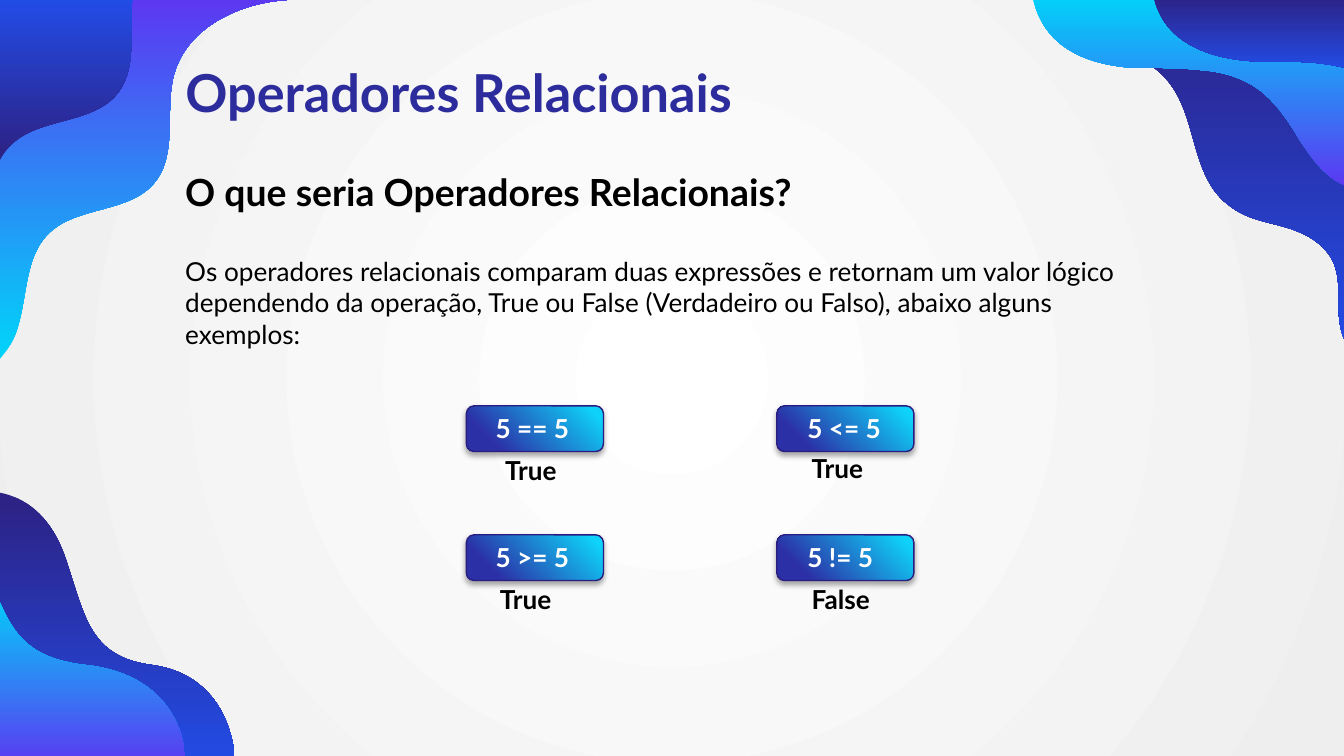
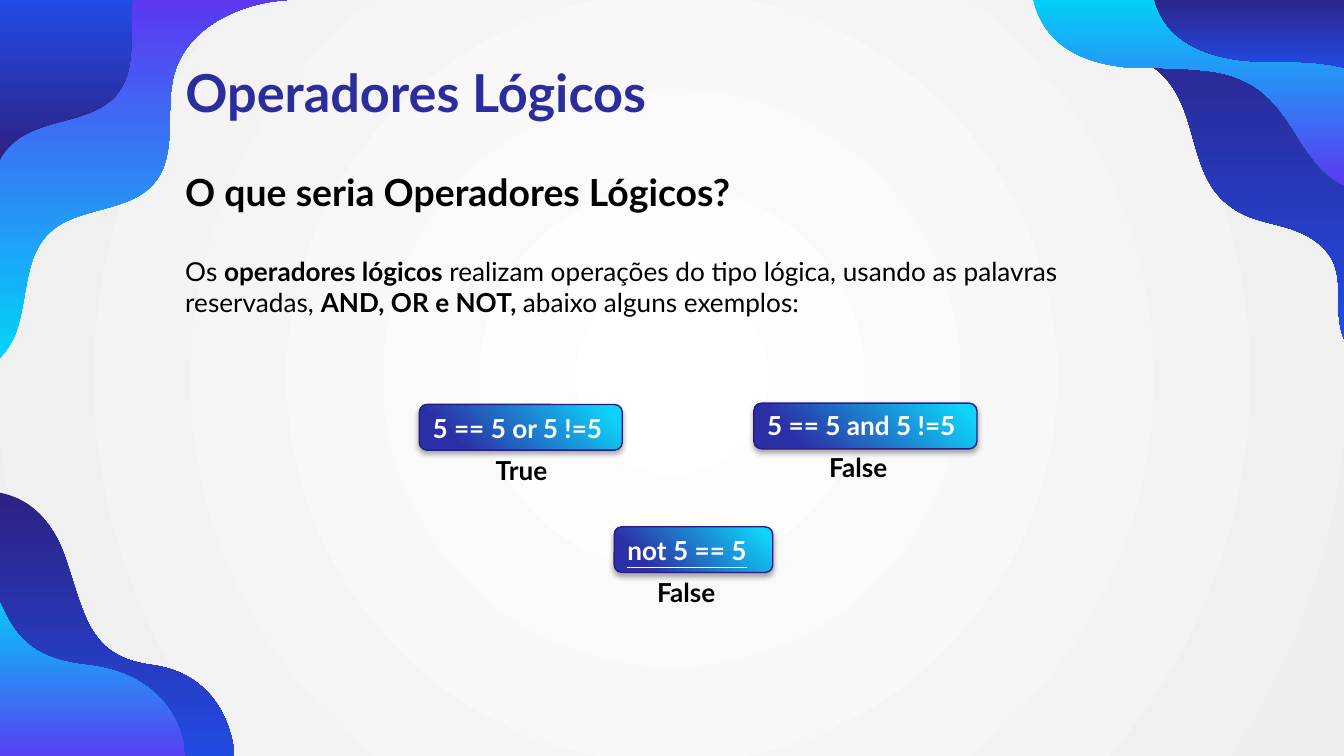
import lxml.etree
import pptx
import pptx.dml.color
import pptx.enum.shapes
import pptx.enum.text
import pptx.oxml.ns
import pptx.util

PIXEL = 9144
PAGE_WIDTH = 1000
FONT = "Lato"
TITLE_COLOR, TEXT_COLOR, LABEL_COLOR, EDGE_COLOR = "2D2C9C", "000000", "FFFFFF", "291D81"
NAVY = [(0, "2D2183"), (100, "224CE6")]
CYAN = [(0, "00D4F9"), (100, "5C38F1")]
BADGE = [(0, "0ED2F9"), (8, "0ED2F9"), (81, "2C30A6"), (100, "2C30A6")]
BACKDROP = [(0, "FFFFFF"), (100, "EEEEEE")]
BADGE_HEIGHT = 34
DOWN, UP = 90, 270

WAVES = [
    (NAVY, DOWN, [(-5, 366), (-5, 569), (175, 569), (174, 535, 156, 501, 114, 495),
                  (67, 489, 64, 461, 49, 416), (35, 374, 7, 367, -5, 366)]),
    (CYAN, DOWN, [(-5, 436), (-5, 571), (138, 571), (139, 537, 118, 501, 65, 495),
                  (18, 490, 8, 469, -5, 436)]),
    (NAVY, DOWN, [(1005, -5), (1005, 259), (1003, 257, 1002, 255, 1001, 254),
                  (996, 244, 996, 234, 996, 223), (996, 213, 996, 202, 991, 193),
                  (984, 180, 970, 173, 956, 169), (942, 165, 928, 163, 916, 154),
                  (883, 131, 893, 82, 864, 55), (843, 34, 794, 31, 781, 0)]),
    (CYAN, DOWN, [(1005, -5), (1005, 139), (1001, 138, 998, 137, 995, 135),
                  (983, 128, 975, 116, 967, 104), (960, 92, 952, 80, 942, 71),
                  (928, 58, 909, 53, 891, 52), (873, 50, 855, 51, 837, 50),
                  (819, 48, 800, 43, 786, 30), (776, 21, 770, 8, 768, -5)]),
    (NAVY, DOWN, [(1005, -5), (1005, 52), (997, 49, 988, 48, 980, 47),
                  (962, 45, 943, 47, 925, 45), (907, 43, 889, 38, 875, 26),
                  (866, 18, 860, 7, 858, -5)]),
    (CYAN, UP, [(0, 267), (4, 262, 8, 257, 11, 250), (21, 225, 17, 193, 36, 174),
                (57, 153, 96, 159, 115, 136), (133, 114, 122, 81, 130, 54),
                (140, 20, 179, 2, 214, 0), (216, 0), (0, 0)]),
    (NAVY, UP, [(0, 119), (2, 115, 4, 112, 8, 108), (29, 87, 68, 93, 87, 70),
                (102, 52, 96, 25, 99, 0), (0, 0)]),
]


def px(length):
    return pptx.util.Emu(round(length * PIXEL))


def color(value):
    return pptx.dml.color.RGBColor.from_string(value)


def add_node(parent, tag, **attributes):
    return lxml.etree.SubElement(parent, pptx.oxml.ns.qn(tag), attributes)


def paint_gradient(fill, owner, stops, angle=None):
    fill.gradient()
    gradient = owner.find(".//" + pptx.oxml.ns.qn("a:gradFill"))
    for child in list(gradient):
        gradient.remove(child)
    stop_list = add_node(gradient, "a:gsLst")
    for position, value in stops:
        stop = add_node(stop_list, "a:gs", pos=str(position * 1000))
        add_node(stop, "a:srgbClr", val=value)
    if angle is None:
        circle = add_node(gradient, "a:path", path="circle")
        add_node(circle, "a:fillToRect", l="50000", t="50000", r="50000", b="50000")
    else:
        add_node(gradient, "a:lin", ang=str(angle * 60000), scaled="0")


def bend_sides(wave, segments):
    sides = list(wave.element.iter(pptx.oxml.ns.qn("a:lnTo")))
    for side, segment in zip(sides, segments):
        if len(segment) == 2:
            continue
        curve = lxml.etree.Element(pptx.oxml.ns.qn("a:cubicBezTo"))
        for x, y in zip(segment[::2], segment[1::2]):
            add_node(curve, "a:pt", x=str(px(x) - wave.left), y=str(px(y) - wave.top))
        side.getparent().replace(side, curve)


def add_wave(page, stops, angle, segments):
    points = [tuple(map(px, segment[-2:])) for segment in segments]
    builder = page.shapes.build_freeform(*points[0])
    builder.add_line_segments(points[1:], close=True)
    wave = builder.convert_to_shape()
    bend_sides(wave, segments[1:])
    wave.shadow.inherit = False
    wave.line.fill.background()
    paint_gradient(wave.fill, wave.element, stops, angle)
    return wave


def decorate_layout(layout, page):
    paint_gradient(layout.background.fill, layout.element, BACKDROP)
    for number, (stops, angle, segments) in enumerate(WAVES, 1):
        wave = add_wave(page, stops, angle, segments)
        wave.name = f"Wave {number}"
        wave.element.nvSpPr.cNvPr.id = 100 + number
        layout.shapes.element.append(wave.element)


def write_spans(frame, spans, size, value, underline=None, inset=5):
    frame.word_wrap = True
    frame.auto_size = pptx.enum.text.MSO_AUTO_SIZE.NONE
    frame.vertical_anchor = pptx.enum.text.MSO_ANCHOR.TOP
    frame.margin_left = frame.margin_right = px(10)
    frame.margin_top = frame.margin_bottom = px(inset)
    para = frame.paragraphs[0]
    para.alignment = pptx.enum.text.PP_ALIGN.LEFT
    for text, bold in spans:
        span = para.add_run()
        span.text = text
        span.font.name = FONT
        span.font.size = pptx.util.Pt(size)
        span.font.bold = bold
        span.font.underline = underline
        span.font.color.rgb = color(value)


def add_text(shapes, box, spans, size=14, value=TEXT_COLOR, underline=None):
    text_box = shapes.add_textbox(*map(px, box))
    write_spans(text_box.text_frame, spans, size, value, underline)


def add_badge(page, box, expression, label, result, caption, underline=None):
    left, top, width = box
    label_left, label_top, label_width = label
    caption_left, caption_top, caption_width = caption
    group = page.shapes.add_group_shape()
    badge = group.shapes.add_shape(pptx.enum.shapes.MSO_SHAPE.ROUNDED_RECTANGLE,
                                   px(left), px(top), px(width), px(BADGE_HEIGHT))
    badge.adjustments[0] = 0.17
    paint_gradient(badge.fill, badge.element, BADGE, 135)
    badge.line.color.rgb = color(EDGE_COLOR)
    badge.line.width = pptx.util.Pt(0.75)
    badge.shadow.inherit = False
    effects = badge.element.spPr.find(pptx.oxml.ns.qn("a:effectLst"))
    shadow = add_node(effects, "a:outerShdw", blurRad=str(pptx.util.Pt(3.1)),
                      dist=str(pptx.util.Pt(1.8)), dir="5400000", rotWithShape="0")
    add_node(add_node(shadow, "a:srgbClr", val="000000"), "a:alpha", val="35000")
    add_text(group.shapes, (left + label_left, top + label_top, label_width, BADGE_HEIGHT),
             [(expression, True)], value=LABEL_COLOR, underline=underline)
    add_text(group.shapes, (left + caption_left, top + caption_top, caption_width, BADGE_HEIGHT),
             [(result, True)])


def add_explanation(page, topic, spans, height):
    title = page.shapes.title
    title.left, title.top, title.width, title.height = map(px, (128, 35, 482, 49))
    write_spans(title.text_frame, [(topic, True)], 28, TITLE_COLOR, inset=10)
    add_text(page.shapes, (128, 121, 516, 44), [(f"O que seria {topic}?", True)], 20)
    add_text(page.shapes, (128, 185, 729, height), spans)


def fill_relational(page):
    add_explanation(page, "Operadores Relacionais", [
        ("Os operadores relacionais comparam duas expressões e retornam um valor lógico "
         "dependendo da operação, True ou False (Verdadeiro ou Falso), abaixo alguns exemplos:",
         False)], 81)
    examples = [("5 == 5", "True", (19, 31, 63)), ("5 <= 5", "True", (16, 30, 71)),
                ("5 >= 5", "True", (15, 31, 71)), ("5 != 5", "False", (16, 31, 71))]
    for index, (expression, result, caption) in enumerate(examples):
        row, column = divmod(index, 2)
        box = (347 + 231 * column, 302 + 96 * row, 102)
        add_badge(page, box, expression, (12 + column, 0, 77), result, caption)


def fill_logical(page):
    add_explanation(page, "Operadores Lógicos", [
        ("Os ", False), ("operadores lógicos ", True),
        ("realizam operações do tipo lógica, usando as palavras reservadas, ", False),
        ("AND, OR e NOT, ", True), ("abaixo alguns exemplos:", False)], 57)
    add_badge(page, (312, 301, 151), "5 == 5 or 5 !=5", (0, 1, 151), "True", (47, 32, 63))
    add_badge(page, (561, 300, 166), "5 == 5 and 5 !=5", (0, 0, 166), "False", (46, 31, 78))
    add_badge(page, (457, 392, 118), "not 5 == 5", (0, 1, 118), "False", (22, 32, 81),
              underline=True)


def main():
    deck = pptx.Presentation()
    deck.slide_width = px(PAGE_WIDTH)
    deck.slide_height = px(PAGE_WIDTH * 9 / 16)
    layout = deck.slide_layouts.get_by_name("Title Only")
    pages = [deck.slides.add_slide(layout) for _ in range(2)]
    decorate_layout(layout, pages[0])
    fill_relational(pages[0])
    fill_logical(pages[1])
    deck.save("out.pptx")


if __name__ == "__main__":
    main()
